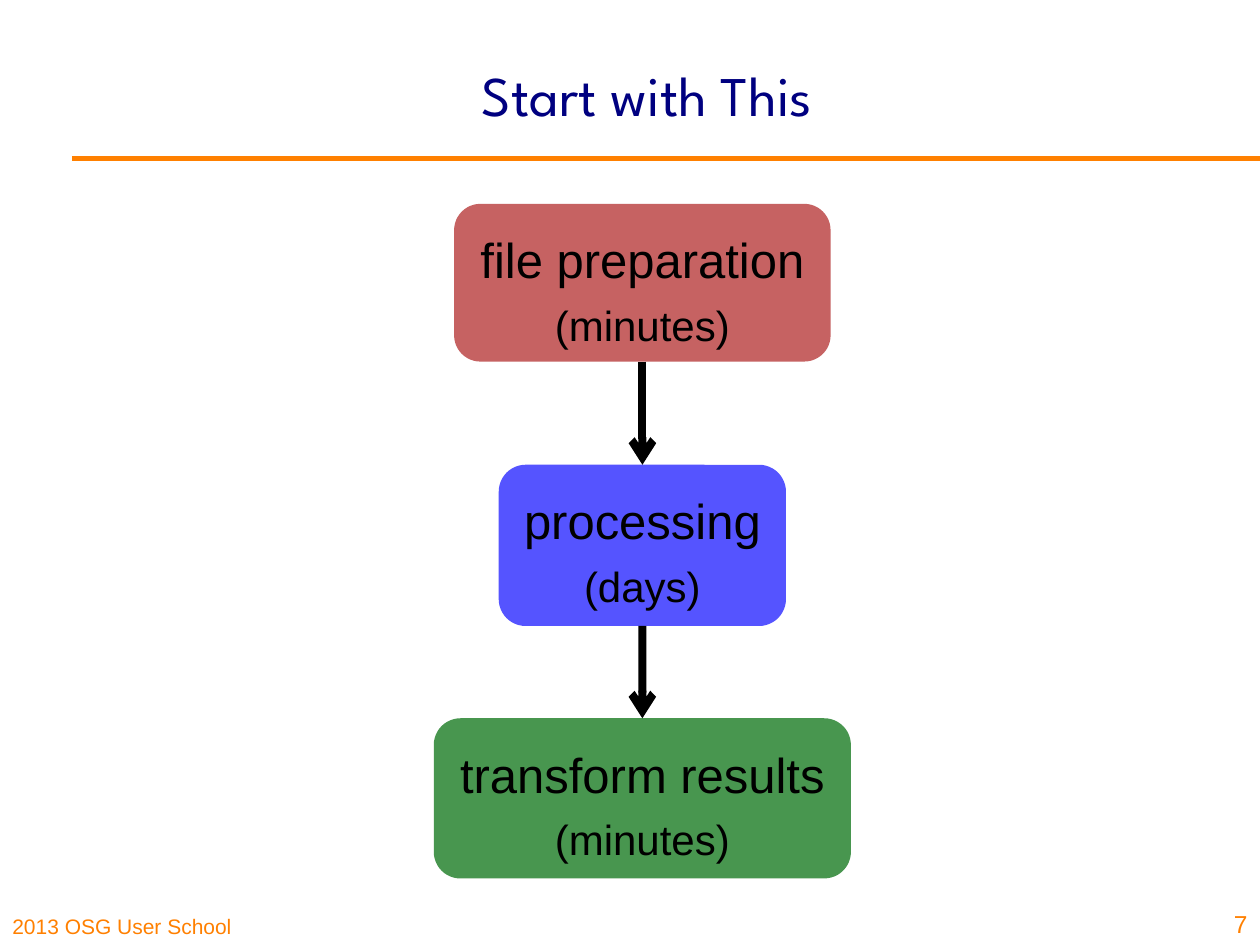
from dataclasses import dataclass

from pptx import Presentation
from pptx.dml.color import RGBColor
from pptx.enum.shapes import MSO_CONNECTOR, MSO_SHAPE
from pptx.enum.text import MSO_ANCHOR, PP_ALIGN
from pptx.oxml.ns import qn
from pptx.util import Cm, Pt
from lxml.etree import SubElement


@dataclass(frozen=True)
class Theme:
    title_font: str = "League Spartan"
    body_font: str = "Arial"
    title_color: str = "000080"
    accent: str = "FF8000"
    ink: str = "000000"
    title_size: int = 32
    step_size: int = 28
    duration_size: int = 24
    footer_size: int = 12
    number_size: int = 14


THEME = Theme()

# Content; lengths in centimetres
TITLE = "Start with This"
FOOTER = "2013 OSG User School"
SLIDE_NUMBER = "7"
STEPS = [  # name, duration, fill, top, width, height
    ("file preparation", "(minutes)", "C66262", 4.11, 7.59, 3.18),
    ("processing", "(days)", "5554FF", 9.37, 5.79, 3.25),
    ("transform results", "(minutes)", "48964F", 14.48, 8.41, 3.23),
]
SLIDE_WIDTH, SLIDE_HEIGHT = 25.4, 19.05
FLOW_CENTER = 12.95
RULE_LEFT, RULE_TOP = 1.45, 3.2


def style(paragraph, size, color, align, font=THEME.body_font):
    paragraph.alignment = align
    paragraph.font.name = font
    paragraph.font.size = Pt(size)
    paragraph.font.bold = False
    paragraph.font.color.rgb = RGBColor.from_string(color)


def format_line(connector, color, width):
    connector.line.color.rgb = RGBColor.from_string(color)
    connector.line.width = Pt(width)
    SubElement(connector._element.spPr, qn("a:effectLst"))


def add_footer(slide, text, left, width, height, size, align):
    box = slide.shapes.add_textbox(
        Cm(left), Cm(SLIDE_HEIGHT - height), Cm(width), Cm(height))
    frame = box.text_frame
    frame.word_wrap = True
    frame.vertical_anchor = MSO_ANCHOR.BOTTOM
    frame.text = text
    style(frame.paragraphs[0], size, THEME.accent, align)


def add_step(slide, name, duration, fill, top, width, height):
    box = slide.shapes.add_shape(
        MSO_SHAPE.ROUNDED_RECTANGLE,
        Cm(FLOW_CENTER - width / 2), Cm(top), Cm(width), Cm(height))
    box.shadow.inherit = False
    box.fill.solid()
    box.fill.fore_color.rgb = RGBColor.from_string(fill)
    box.line.fill.background()
    frame = box.text_frame
    frame.word_wrap = True
    frame.vertical_anchor = MSO_ANCHOR.TOP
    frame.margin_top = Cm(0.37)
    frame.text = f"{name}\n{duration}"
    for paragraph, size in zip(frame.paragraphs, (THEME.step_size, THEME.duration_size)):
        style(paragraph, size, THEME.ink, PP_ALIGN.CENTER)
    frame.paragraphs[1].space_before = Pt(6)
    return box


def add_arrow(slide, source, target):
    arrow = slide.shapes.add_connector(MSO_CONNECTOR.STRAIGHT, 0, 0, 0, 0)
    arrow.begin_connect(source, 2)  # bottom centre
    arrow.end_connect(target, 0)  # top centre
    format_line(arrow, THEME.ink, 4.5)
    SubElement(arrow.line._get_or_add_ln(), qn("a:tailEnd"), type="arrow")


def main():
    presentation = Presentation()
    presentation.slide_width = Cm(SLIDE_WIDTH)
    presentation.slide_height = Cm(SLIDE_HEIGHT)
    slide = presentation.slides.add_slide(presentation.slide_layouts[5])

    # Title and rule
    title = slide.shapes.title
    title.left, title.top, title.width, title.height = (
        Cm(3.4), Cm(0.3), Cm(19.3), Cm(3.18))
    title.text_frame.text = TITLE
    title.text_frame.vertical_anchor = MSO_ANCHOR.MIDDLE
    style(title.text_frame.paragraphs[0], THEME.title_size, THEME.title_color,
          PP_ALIGN.CENTER, THEME.title_font)
    rule = slide.shapes.add_connector(
        MSO_CONNECTOR.STRAIGHT, Cm(RULE_LEFT), Cm(RULE_TOP),
        Cm(SLIDE_WIDTH), Cm(RULE_TOP))
    format_line(rule, THEME.accent, 3)

    # Workflow
    boxes = [add_step(slide, *step) for step in STEPS]
    for source, target in zip(boxes, boxes[1:]):
        add_arrow(slide, source, target)

    # Footer and slide number
    add_footer(slide, FOOTER, 0, 6.3, 1.07, THEME.footer_size, PP_ALIGN.LEFT)
    add_footer(slide, SLIDE_NUMBER, SLIDE_WIDTH - 1.17, 1.17, 1.27,
               THEME.number_size, PP_ALIGN.RIGHT)

    presentation.save("out.pptx")


if __name__ == "__main__":
    main()
